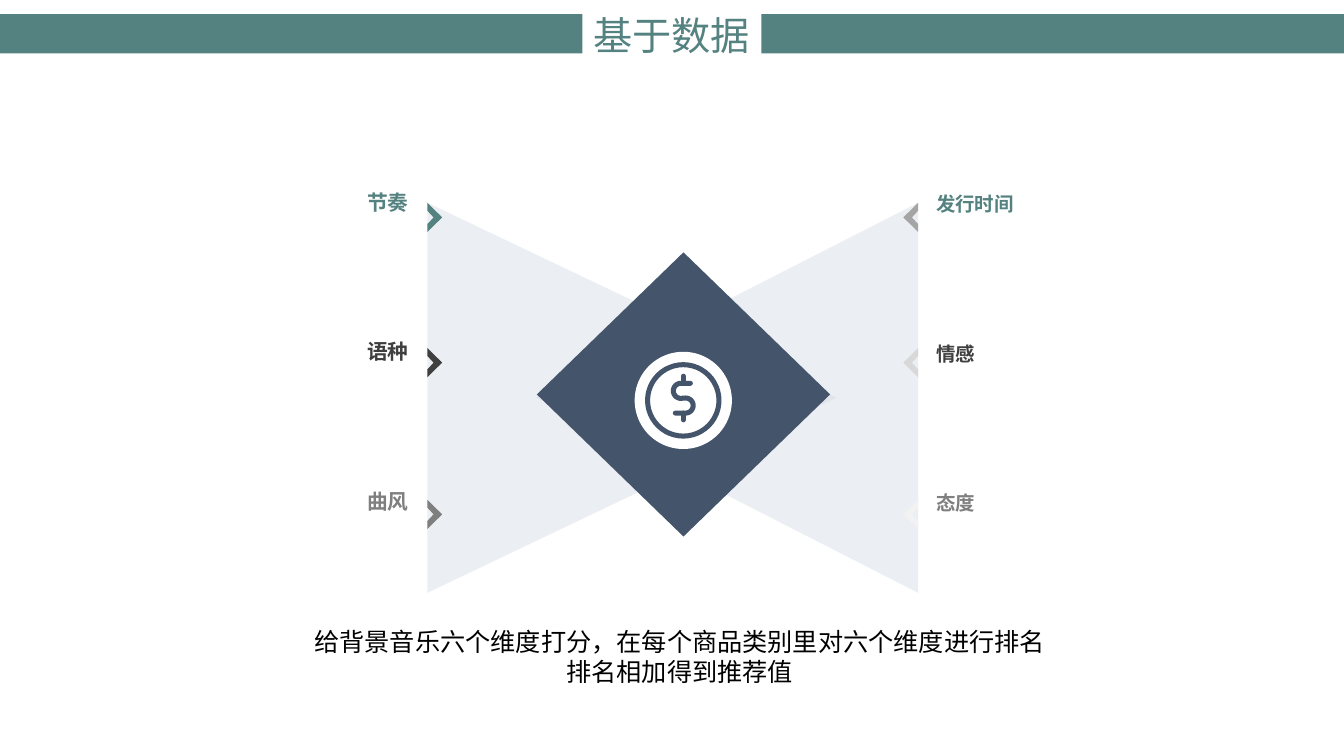
"""Build the slide on scoring background music by six dimensions."""
from math import cos, radians, sin

from lxml.etree import SubElement
from pptx import Presentation
from pptx.dml.color import RGBColor
from pptx.enum.shapes import MSO_SHAPE
from pptx.enum.text import MSO_ANCHOR, MSO_AUTO_SIZE, PP_ALIGN
from pptx.oxml.ns import qn
from pptx.util import Cm, Pt

TITLE = "基于数据"
CAPTION = [
    ("给背景音乐六个维度打分，在每个商品类别里对六个维度进行排名", PP_ALIGN.LEFT),
    ("排名相加得到推荐值", PP_ALIGN.CENTER),
]
ROWS = [
    ("节奏", "发行时间", "teal", "silver"),
    ("语种", "情感", "charcoal", "light"),
    ("曲风", "态度", "gray", "pale"),
]
COLORS = {
    "teal": "548280", "charcoal": "3F3F3F", "gray": "7F7F7F", "silver": "A5A5A5",
    "light": "D8D8D8", "pale": "F2F2F2", "navy": "44546A", "wing": "D6DCE5",
    "white": "FFFFFF", "black": "000000",
}
FONT = "Noto Sans CJK SC"
FRAME = {"word_wrap": False, "vertical_anchor": MSO_ANCHOR.TOP}
GROWING = {"word_wrap": False, "auto_size": MSO_AUTO_SIZE.SHAPE_TO_FIT_TEXT}
LEFT_LABEL = {"size": Pt(14.8), "bold": True}
RIGHT_LABEL = {"size": Pt(13.9), "bold": True}

SLIDE_WIDTH, SLIDE_HEIGHT = 33.87, 19.05
BAR_WIDTH, BAR_HEIGHT, BAR_TOP = 14.68, 0.99, 0.36
LABEL_TOP, LABEL_STEP, LABEL_WIDTH, LABEL_HEIGHT = 4.72, 3.77, 3.51, 0.86
LEFT_LABEL_X, RIGHT_LABEL_X = 7.04, 23.34
LEFT_EDGE, RIGHT_EDGE = 10.77, 23.14
WING_TOP, WING_MIDDLE, WING_BOTTOM = 5.11, 10.02, 14.94
WINGS = [(RIGHT_EDGE, 13.51), (LEFT_EDGE, 21.08)]
CHEVRON_TOPS = [5.11, 8.77, 12.59]
CHEVRON_HEIGHT = 0.74
CHEVRON_ARM = [(0, 0), (0.37, 0.37), (0.26, 0.48), (0, 0.2)]
DIAMOND = (13.53, 6.36, 7.39, 7.16)
COIN_X, COIN_Y, COIN_SIZE, RING_SIZE = 17.22, 10.09, 2.45, 1.8
STROKE = Pt(3.6)


def color(name):
    return RGBColor.from_string(COLORS[name])


def assign(target, values):
    for name, value in values.items():
        setattr(target, name, value)


def paint(shape, fill=None, line=None):
    shape.shadow.inherit = False
    if fill:
        shape.fill.solid()
        shape.fill.fore_color.rgb = color(fill)
    else:
        shape.fill.background()
    if line:
        shape.line.width = STROKE
        shape.line.color.rgb = color(line)
    else:
        shape.line.fill.background()


def add_preset(slide, kind, box, fill=None, line=None):
    shape = slide.shapes.add_shape(kind, *map(Cm, box))
    paint(shape, fill, line)


def add_outline(slide, contours, close=True, fill=None, line=None):
    contours = [[(Cm(x), Cm(y)) for x, y in contour] for contour in contours]
    builder = slide.shapes.build_freeform(*contours[0][0])
    builder.add_line_segments(contours[0][1:], close=close)
    for contour in contours[1:]:
        builder.move_to(*contour[0])
        builder.add_line_segments(contour[1:], close=close)
    shape = builder.convert_to_shape()
    paint(shape, fill, line)
    return shape


def write(shape, lines, color_name, font, frame, spacing=None):
    text_frame = shape.text_frame
    assign(text_frame, frame)
    for index, (text, alignment) in enumerate(lines):
        paragraph = text_frame.add_paragraph() if index else text_frame.paragraphs[0]
        assign(paragraph, {"alignment": alignment, "line_spacing": spacing})
        run = paragraph.add_run()
        run.text = text
        assign(run.font, {"name": FONT, **font})
        run.font.color.rgb = color(color_name)
        SubElement(run.font._element, qn("a:ea"), typeface=FONT)


def add_text(slide, box, *details):
    write(slide.shapes.add_textbox(*map(Cm, box)), *details)


def arc(x, y, radius, start, stop, steps=16):
    angles = [radians(start + (stop - start) * i / steps) for i in range(steps + 1)]
    return [(x + radius * cos(angle), y + radius * sin(angle)) for angle in angles]


def add_header(slide):
    for left in (0, SLIDE_WIDTH - BAR_WIDTH):
        add_preset(slide, MSO_SHAPE.RECTANGLE, (left, BAR_TOP, BAR_WIDTH, BAR_HEIGHT), "teal")
    title = slide.shapes.title
    assign(title, {"left": Cm(BAR_WIDTH), "top": Cm(0.15), "width": Cm(4.5), "height": Cm(1.45)})
    write(title, [(TITLE, PP_ALIGN.CENTER)], "teal", {"size": Pt(28)},
          {**GROWING, "vertical_anchor": MSO_ANCHOR.MIDDLE})


def add_labels(slide):
    for index, (left_text, right_text, text_color, _) in enumerate(ROWS):
        top = LABEL_TOP + index * LABEL_STEP
        add_text(slide, (RIGHT_LABEL_X, top, LABEL_WIDTH, LABEL_HEIGHT),
                 [(right_text, PP_ALIGN.LEFT)], text_color, RIGHT_LABEL, FRAME)
        add_text(slide, (LEFT_LABEL_X, top, LABEL_WIDTH, LABEL_HEIGHT),
                 [(left_text, PP_ALIGN.RIGHT)], text_color, LEFT_LABEL, FRAME, 0.9)


def add_wings(slide):
    for edge, tip in WINGS:
        points = [(edge, WING_TOP), (tip, WING_MIDDLE), (edge, WING_BOTTOM)]
        wing = add_outline(slide, [points], fill="wing")
        solid_color = wing.fill._xPr.find(qn("a:solidFill"))[0]
        SubElement(solid_color, qn("a:alpha"), val="47000")


def add_chevrons(slide):
    for (_, _, left_color, right_color), top in zip(ROWS, CHEVRON_TOPS):
        for edge, side, fill in ((LEFT_EDGE, 1, left_color), (RIGHT_EDGE, -1, right_color)):
            upper = [(edge + side * x, top + y) for x, y in CHEVRON_ARM]
            lower = [(x, 2 * top + CHEVRON_HEIGHT - y) for x, y in upper]
            for arm in (lower, upper):
                add_outline(slide, [arm], fill=fill)


def add_coin(slide):
    add_preset(slide, MSO_SHAPE.DIAMOND, DIAMOND, "navy")
    for size, fill, line in ((COIN_SIZE, "white", None), (RING_SIZE, None, "navy")):
        box = (COIN_X - size / 2, COIN_Y - size / 2, size, size)
        add_preset(slide, MSO_SHAPE.OVAL, box, fill, line)
    curve = [(0.18, -0.43), *arc(-0.06, -0.24, 0.19, 270, 90),
             *arc(0.06, 0.13, 0.19, -90, 90), (-0.2, 0.32)]
    strokes = [curve, [(0, -0.61), (0, -0.43)], [(0, 0.32), (0, 0.49)]]
    strokes = [[(COIN_X + x, COIN_Y + y) for x, y in stroke] for stroke in strokes]
    dollar = add_outline(slide, strokes, close=False, line="navy")
    dollar.line._get_or_add_ln().set("cap", "rnd")


def main():
    presentation = Presentation()
    assign(presentation, {"slide_width": Cm(SLIDE_WIDTH), "slide_height": Cm(SLIDE_HEIGHT)})
    slide = presentation.slides.add_slide(presentation.slide_layouts[5])
    add_header(slide)
    add_labels(slide)
    add_wings(slide)
    add_chevrons(slide)
    add_coin(slide)
    add_text(slide, (7.67, 15.65, 19.1, 1.8), CAPTION, "black", {"size": Pt(18)}, GROWING)
    presentation.save("out.pptx")


if __name__ == "__main__":
    main()
